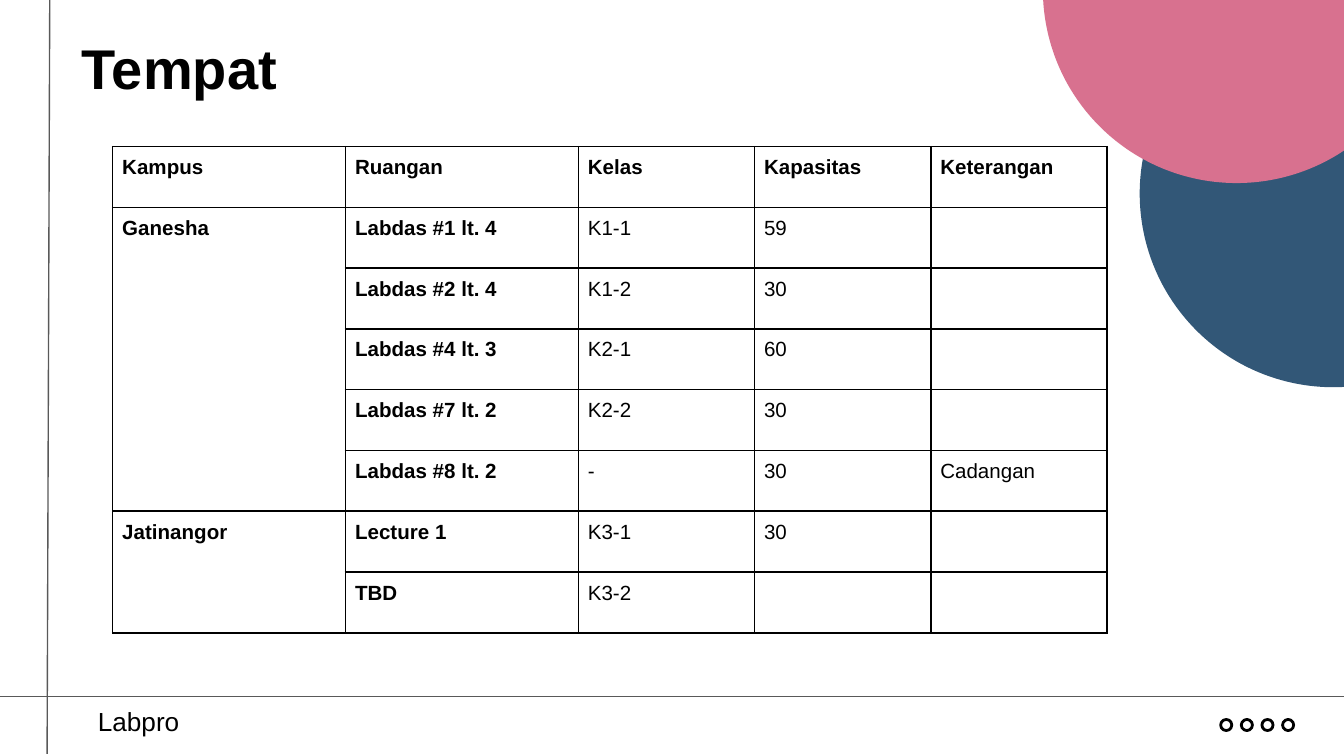
from dataclasses import dataclass

from lxml.etree import SubElement
from pptx import Presentation
from pptx.dml.color import RGBColor
from pptx.enum.shapes import MSO_CONNECTOR, MSO_SHAPE
from pptx.oxml.ns import qn
from pptx.util import Cm, Pt


@dataclass(frozen=True)
class Theme:
    font: str = "Arial"
    ink: str = "000000"
    rule: str = "595959"
    blue: str = "325777"
    pink: str = "D8718F"
    title_size: int = 30
    footer_size: int = 14
    table_size: int = 11


THEME = Theme()

HEADER = ["Kampus", "Ruangan", "Kelas", "Kapasitas", "Keterangan"]
CAMPUSES = {
    "Ganesha": [
        ["Labdas #1 lt. 4", "K1-1", "59", ""],
        ["Labdas #2 lt. 4", "K1-2", "30", ""],
        ["Labdas #4 lt. 3", "K2-1", "60", ""],
        ["Labdas #7 lt. 2", "K2-2", "30", ""],
        ["Labdas #8 lt. 2", "-", "30", "Cadangan"],
    ],
    "Jatinangor": [
        ["Lecture 1", "K3-1", "30", ""],
        ["TBD", "K3-2", "", ""],
    ],
}
COLUMN_WIDTHS = [4.4, 4.4, 3.33, 3.33, 3.33]
ROW_HEIGHT = 1.15


def color(value):
    return RGBColor.from_string(value)


def add_run(paragraph, text, size, bold=False):
    run = paragraph.add_run()
    run.text = text
    run.font.name = THEME.font
    run.font.size = Pt(size)
    run.font.bold = bold
    run.font.color.rgb = color(THEME.ink)


def add_rule(slide, x1, y1, x2, y2):
    rule = slide.shapes.add_connector(
        MSO_CONNECTOR.STRAIGHT, Cm(x1), Cm(y1), Cm(x2), Cm(y2))
    rule.line.color.rgb = color(THEME.rule)
    rule.line.width = Pt(0.75)
    SubElement(rule.element.spPr, qn("a:effectLst"))


def add_circle(slide, left, top, diameter, fill=None):
    """Draw a filled disc, or a black ring when no fill is given."""
    circle = slide.shapes.add_shape(
        MSO_SHAPE.OVAL, Cm(left), Cm(top), Cm(diameter), Cm(diameter))
    circle.shadow.inherit = False
    if fill:
        circle.fill.solid()
        circle.fill.fore_color.rgb = color(fill)
        circle.line.fill.background()
    else:
        circle.fill.background()
        circle.line.color.rgb = color(THEME.ink)
        circle.line.width = Pt(1.5)


def add_label(slide, text, left, top, height, size, bold=False):
    box = slide.shapes.add_textbox(Cm(left), Cm(top), Cm(15.8), Cm(height))
    frame = box.text_frame
    frame.word_wrap = True
    frame.margin_left = frame.margin_right = Cm(0.25)
    frame.margin_top = frame.margin_bottom = Cm(0.25)
    add_run(frame.paragraphs[0], text, size, bold)


def add_borders(cell):
    properties = cell._tc.get_or_add_tcPr()
    for side in ("a:lnL", "a:lnR", "a:lnT", "a:lnB"):
        line = SubElement(properties, qn(side), w=str(Pt(1)))
        fill = SubElement(line, qn("a:solidFill"))
        SubElement(fill, qn("a:srgbClr"), val=THEME.ink)


def style_cell(cell):
    cell.margin_left = cell.margin_right = Cm(0.18)
    cell.margin_top = cell.margin_bottom = Cm(0.18)
    add_borders(cell)
    cell.fill.background()


def add_room_table(slide):
    rows = [HEADER]
    for campus, rooms in CAMPUSES.items():
        for index, room in enumerate(rooms):
            rows.append([campus if index == 0 else ""] + room)

    table = slide.shapes.add_table(
        len(rows), len(HEADER), Cm(2.13), Cm(2.77),
        Cm(sum(COLUMN_WIDTHS)), Cm(ROW_HEIGHT * len(rows))).table
    table.first_row = table.horz_banding = False
    for column, width in zip(table.columns, COLUMN_WIDTHS):
        column.width = Cm(width)

    for r, texts in enumerate(rows):
        table.rows[r].height = Cm(ROW_HEIGHT)
        for c, text in enumerate(texts):
            cell = table.cell(r, c)
            style_cell(cell)
            if text:
                add_run(cell.text_frame.paragraphs[0], text,
                        THEME.table_size, bold=r == 0 or c < 2)

    first = 1
    for rooms in CAMPUSES.values():
        last = first + len(rooms) - 1
        table.cell(first, 0).merge(table.cell(last, 0))
        first = last + 1


def add_decoration(slide):
    add_rule(slide, -0.08, 13.16, 25.6, 13.16)
    add_rule(slide, 0.94, -0.03, 0.89, 14.25)
    for index in range(4):
        add_circle(slide, 23.07 + 0.39 * index, 13.6, 0.21)
    add_circle(slide, 21.54, 0, 7.32, THEME.blue)
    add_circle(slide, 19.71, -3.86, 7.32, THEME.pink)


def main():
    presentation = Presentation()
    presentation.slide_width = Cm(25.4)
    presentation.slide_height = Cm(14.29)
    slide = presentation.slides.add_slide(presentation.slide_layouts[6])

    add_decoration(slide)
    add_label(slide, "Labpro", 1.6, 13.08, 1.12, THEME.footer_size)
    add_label(slide, "Tempat", 1.3, 0.38, 1.8, THEME.title_size, bold=True)
    add_room_table(slide)

    presentation.save("out.pptx")


if __name__ == "__main__":
    main()
